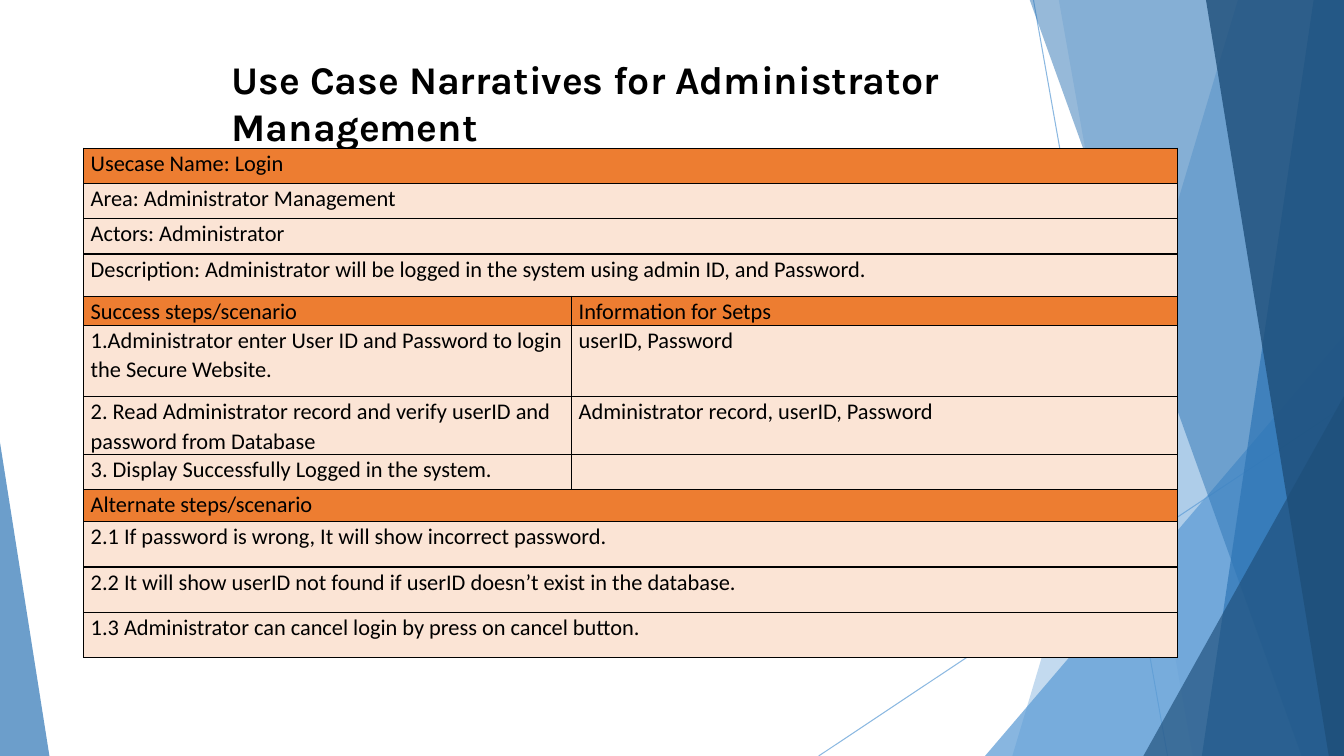
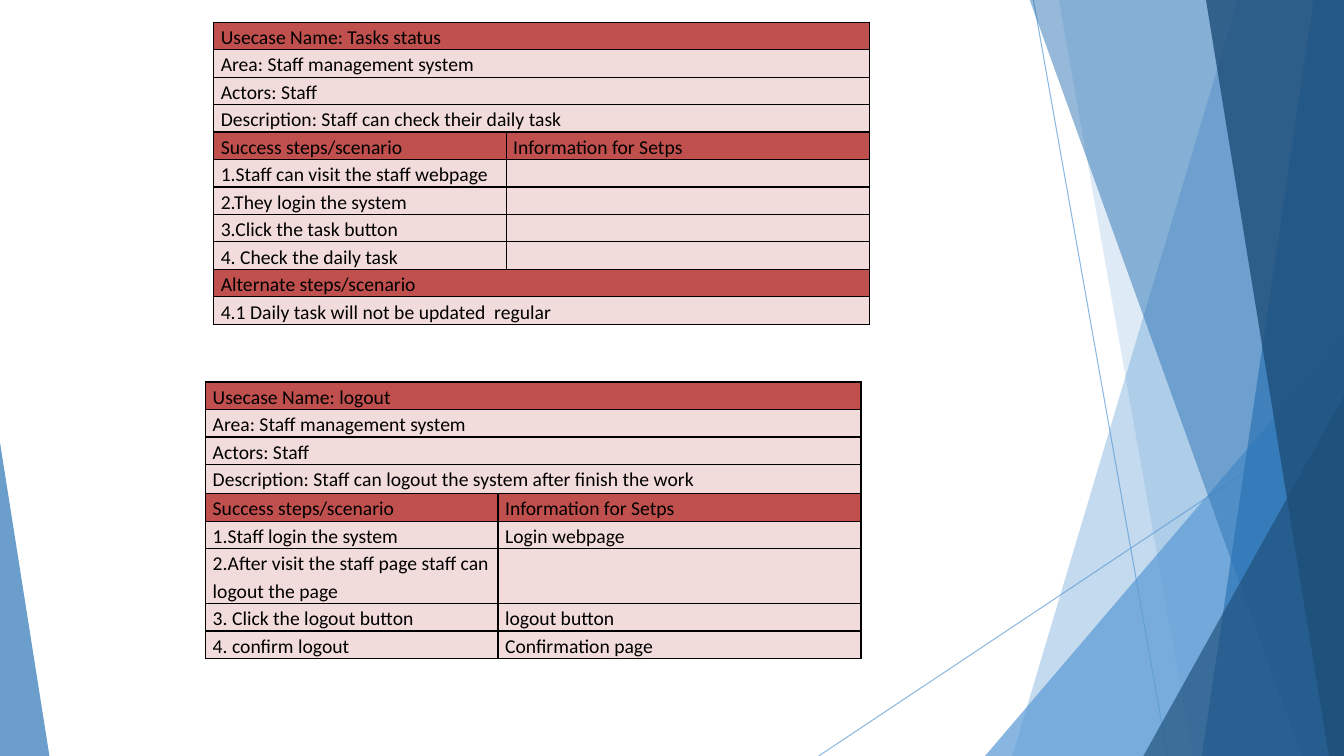
"""Build two slides of use case narratives for administrator and staff."""
from lxml.etree import SubElement
from pptx import Presentation
from pptx.dml.color import RGBColor
from pptx.enum.shapes import MSO_CONNECTOR, MSO_SHAPE
from pptx.enum.text import MSO_AUTO_SIZE
from pptx.oxml.ns import qn
from pptx.util import Inches, Pt

COLOURS = {
    "light": "5B9BD5", "mid": "2E75B5", "dark": "1E4E79", "ink": "000000",
    "orange": "ED7D31", "peach": "FBE4D5", "red": "C0504D", "pink": "F2DBDB",
}
WIDTH, HEIGHT = 13.33, 7.5
HEADINGS = ("Usecase", "Success", "Alternate")
STEP_HEADING = ("Success steps/scenario", "Information for Setps")

RAYS = [(10.25, 0, 11.58, HEIGHT), (WIDTH, 4.03, 8.12, HEIGHT)]
FACETS = [
    ("light", 36, "band", (12.28, 10.04)),
    ("light", 20, "band", (10.5, 11.83)),
    ("light", 72, "triangle", (9.77, 3.33, 3.56, 4.17)),
    ("mid", 50, "band", (10.21, 12.91)),
    ("mid", 70, "band", (13.03, 11.92)),
    ("dark", 80, "band", (11.96, 13.18)),
    ("dark", 66, "triangle", (11.34, 3.93, 1.99, 3.57)),
    ("mid", 70, "triangle", (0, 4.39, 0.49, 3.11)),
]

ADMIN_FORMAT = {"head": "orange", "body": "peach", "size": 16, "spacing": 1.07}
STAFF_FORMAT = {"head": "red", "body": "pink", "size": 14, "spacing": 1.15}
LOGIN = [
    (0.35, "Usecase Name: Login"),
    (0.35, "Area: Administrator Management"),
    (0.35, "Actors: Administrator"),
    (0.42, "Description: Administrator will be logged in the system using admin ID, and Password."),
    (0.28, *STEP_HEADING),
    (0.71, "1.Administrator enter User ID and Password to login the Secure Website.", "userID, Password"),
    (0.57, "2. Read Administrator record and verify userID and password from Database",
     "Administrator record, userID, Password"),
    (0.35, "3. Display Successfully Logged in the system.", ""),
    (0.32, "Alternate steps/scenario"),
    (0.45, "2.1 If password is wrong, It will show incorrect password."),
    (0.45, "2.2 It will show userID not found if userID doesn’t exist in the database."),
    (0.45, "1.3 Administrator can cancel login by press on cancel button."),
]
TASK_STATUS = [
    (0.27, "Usecase Name: Tasks status"),
    (0.27, "Area: Staff management system"),
    (0.27, "Actors: Staff"),
    (0.27, "Description: Staff can check their daily task"),
    (0.27, *STEP_HEADING),
    (0.27, "1.Staff can visit the staff webpage", ""),
    (0.27, "2.They login the system", ""),
    (0.27, "3.Click the task button", ""),
    (0.27, "4. Check the daily task", ""),
    (0.27, "Alternate steps/scenario"),
    (0.27, "4.1 Daily task will not be updated  regular"),
]
LOGOUT = [
    (0.27, "Usecase Name: logout"),
    (0.27, "Area: Staff management system"),
    (0.27, "Actors: Staff"),
    (0.29, "Description: Staff can logout the system after finish the work"),
    (0.27, *STEP_HEADING),
    (0.27, "1.Staff login the system", "Login webpage"),
    (0.54, "2.After visit the staff page staff can logout the page", ""),
    (0.27, "3. Click the logout button", "logout button"),
    (0.27, "4. confirm logout", "Confirmation page"),
]
SLIDES = [
    ("Use Case Narratives for Administrator Management",
     [(0.83, 1.47, (4.84, 6.01), ADMIN_FORMAT, LOGIN)]),
    (None, [(2.12, 0.22, (2.9, 3.6), STAFF_FORMAT, TASK_STATUS),
            (2.04, 3.79, (2.9, 3.6), STAFF_FORMAT, LOGOUT)]),
]


def paint(fill, colour, opacity=100):
    fill.solid()
    fill.fore_color.rgb = RGBColor.from_string(COLOURS[colour])
    if opacity < 100:
        srgb = fill._xPr.find(qn("a:solidFill"))[0]
        SubElement(srgb, qn("a:alpha"), val=str(opacity * 1000))


def write(paragraph, text, font_values):
    run = paragraph.add_run()
    run.text = text
    for name, value in font_values.items():
        setattr(run.font, name, value)
    run.font.color.rgb = RGBColor.from_string(COLOURS["ink"])


deck = Presentation()
deck.slide_width, deck.slide_height = Inches(WIDTH), Inches(HEIGHT)

for title, narratives in SLIDES:
    slide = deck.slides.add_slide(deck.slide_layouts[6])
    shapes = slide.shapes

    for ends in RAYS:
        ray = shapes.add_connector(MSO_CONNECTOR.STRAIGHT, *map(Inches, ends))
        ray.line.width = Pt(0.75)
        paint(ray.line.fill, "light", 70)
        SubElement(ray._element.spPr, qn("a:effectLst"))

    for colour, opacity, outline, place in FACETS:
        if outline == "band":
            top_x, bottom_x = place
            corners = [(WIDTH, -0.01), (WIDTH, HEIGHT), (bottom_x, HEIGHT)]
            builder = shapes.build_freeform(Inches(top_x), Inches(-0.01))
            builder.add_line_segments([(Inches(x), Inches(y)) for x, y in corners])
            facet = builder.convert_to_shape()
        else:
            facet = shapes.add_shape(MSO_SHAPE.ISOSCELES_TRIANGLE, *map(Inches, place))
            facet.adjustments[0] = 1 if place[0] else 0
        facet.shadow.inherit = False
        facet.line.fill.background()
        paint(facet.fill, colour, opacity)

    if title:
        heading = shapes.add_textbox(Inches(2.2), Inches(0.5), Inches(8.62), Inches(0.57)).text_frame
        heading.word_wrap = True
        heading.auto_size = MSO_AUTO_SIZE.SHAPE_TO_FIT_TEXT
        write(heading.paragraphs[0], title, {"name": "Karla", "size": Pt(28), "bold": True})

    for left, top, widths, look, rows in narratives:
        total_height = sum(row[0] for row in rows)
        narrative = shapes.add_table(
            len(rows), 2, Inches(left), Inches(top), Inches(sum(widths)), Inches(total_height)).table
        narrative.first_row = narrative.horz_banding = False
        for column, width in zip(narrative.columns, widths):
            column.width = Inches(width)
        margins = {"margin_left": Inches(0.07), "margin_right": Inches(0.07),
                   "margin_top": 0, "margin_bottom": 0}
        for index, (height, *texts) in enumerate(rows):
            narrative.rows[index].height = Inches(height)
            shade = look["head"] if texts[0].startswith(HEADINGS) else look["body"]
            cells = [narrative.cell(index, column) for column in range(2)]
            if len(texts) == 1:
                cells[0].merge(cells[1])
            for cell, text in zip(cells, texts + [""]):
                for name, value in margins.items():
                    setattr(cell, name, value)
                properties = cell._tc.get_or_add_tcPr()
                for side in ("lnL", "lnR", "lnT", "lnB"):
                    border = SubElement(properties, qn(f"a:{side}"), w=str(Pt(1)))
                    SubElement(SubElement(border, qn("a:solidFill")), qn("a:srgbClr"), val=COLOURS["ink"])
                paint(cell.fill, shade)
                paragraph = cell.text_frame.paragraphs[0]
                paragraph.line_spacing = look["spacing"]
                if text:
                    write(paragraph, text, {"name": "Calibri", "size": Pt(look["size"])})
                else:
                    SubElement(paragraph._p, qn("a:endParaRPr"), sz=str(look["size"] * 100))

deck.save("out.pptx")
